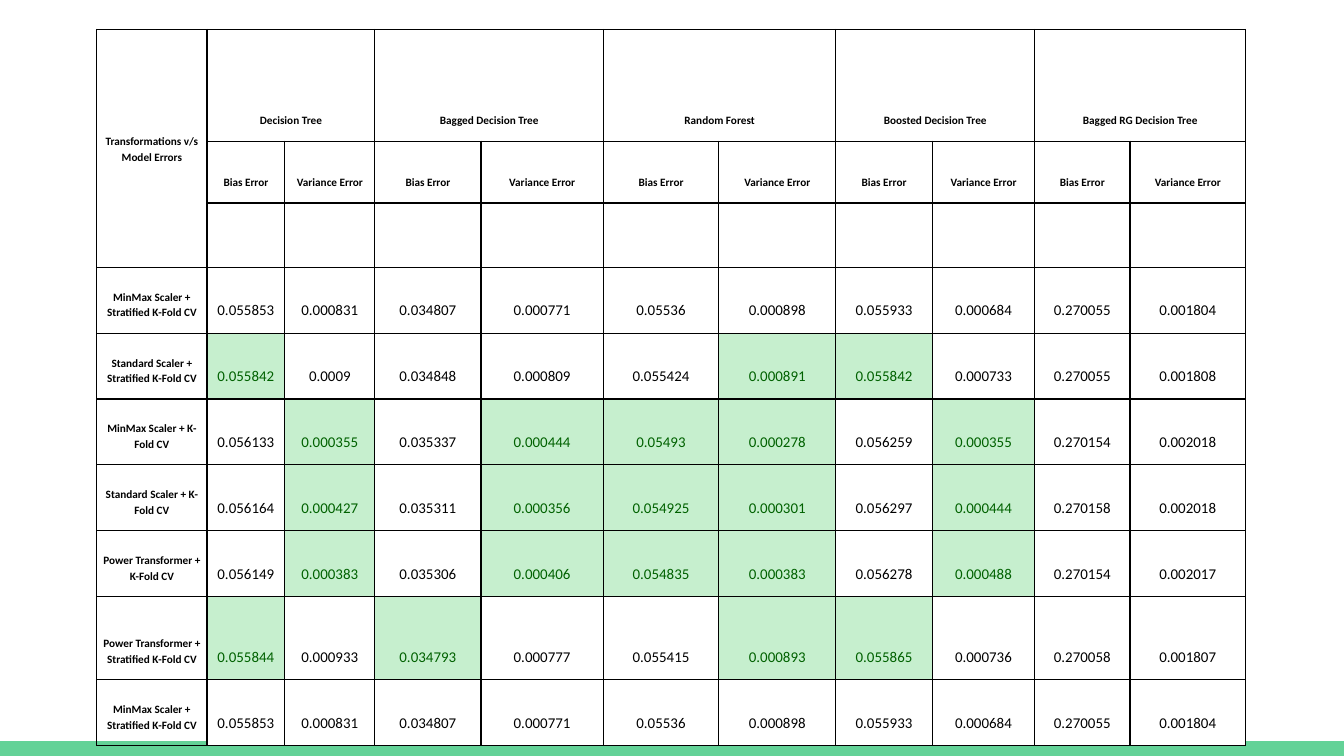
from dataclasses import dataclass
from typing import Any

from lxml.etree import SubElement
from pptx import Presentation
from pptx.dml.color import RGBColor
from pptx.enum.shapes import MSO_SHAPE
from pptx.enum.text import MSO_ANCHOR, PP_ALIGN
from pptx.oxml.ns import qn
from pptx.util import Inches, Pt

UNIT = Inches(0.01)
SLIDE_WIDTH = Inches(10)
SLIDE_HEIGHT = SLIDE_WIDTH * 9 // 16
BAR_HEIGHT = 11 * UNIT
TABLE_LEFT, TABLE_TOP = 72, 22
COLUMN_WIDTHS = (82, 58, 67, 79, 91, 86, 87, 72, 76, 71, 86)
ROW_HEIGHTS = (83, 46, 48, 49, 49, 49, 49, 49, 62, 49)
HEADER_ROWS = 3

COLORS = {
    "bar": "63D297",
    "black": "000000",
    "white": "FFFFFF",
    "highlight": "C6EFCE",
    "highlight_text": "006100",
}
BOLD_FONT = {"name": "Calibri", "size": Pt(6), "bold": True}
VALUE_FONT = {"name": "Calibri", "size": Pt(8), "bold": False}
CELL_FORMAT = {
    "margin_left": Inches(0.03),
    "margin_right": Inches(0.03),
    "margin_top": Inches(0.1),
    "margin_bottom": Inches(0.1),
    "vertical_anchor": MSO_ANCHOR.BOTTOM,
}
PARAGRAPH_FORMAT = {"alignment": PP_ALIGN.CENTER, "line_spacing": 1.15}

MODELS = (
    "Decision Tree",
    "Bagged Decision Tree",
    "Random Forest",
    "Boosted Decision Tree",
    "Bagged RG Decision Tree",
)
ERRORS = ("Bias Error", "Variance Error")


@dataclass(frozen=True)
class Result:
    transformation: str
    values: str
    highlighted: tuple[int, ...] = ()


MINMAX_STRATIFIED = Result(
    "MinMax Scaler + Stratified K-Fold CV",
    "0.055853 0.000831 0.034807 0.000771 0.05536 0.000898 0.055933 0.000684 0.270055 0.001804",
)
RESULTS = (
    MINMAX_STRATIFIED,
    Result(
        "Standard Scaler + Stratified K-Fold CV",
        "0.055842 0.0009 0.034848 0.000809 0.055424 0.000891 0.055842 0.000733 0.270055 0.001808",
        (1, 6, 7),
    ),
    Result(
        "MinMax Scaler + K-Fold CV",
        "0.056133 0.000355 0.035337 0.000444 0.05493 0.000278 0.056259 0.000355 0.270154 0.002018",
        (2, 4, 5, 6, 8),
    ),
    Result(
        "Standard Scaler + K-Fold CV",
        "0.056164 0.000427 0.035311 0.000356 0.054925 0.000301 0.056297 0.000444 0.270158 0.002018",
        (2, 4, 5, 6, 8),
    ),
    Result(
        "Power Transformer + K-Fold CV",
        "0.056149 0.000383 0.035306 0.000406 0.054835 0.000383 0.056278 0.000488 0.270154 0.002017",
        (2, 4, 5, 6, 8),
    ),
    Result(
        "Power Transformer + Stratified K-Fold CV",
        "0.055844 0.000933 0.034793 0.000777 0.055415 0.000893 0.055865 0.000736 0.270058 0.001807",
        (1, 3, 6, 7),
    ),
    MINMAX_STRATIFIED,
)


def apply_format(target: Any, values: dict[str, Any]) -> None:
    for name, value in values.items():
        setattr(target, name, value)


def fill_solid(target: Any, color: str) -> None:
    target.fill.solid()
    target.fill.fore_color.rgb = RGBColor.from_string(COLORS[color])


def add_borders(cell: Any) -> None:
    properties = cell._tc.get_or_add_tcPr()
    for side in ("a:lnL", "a:lnR", "a:lnT", "a:lnB"):
        line = SubElement(properties, qn(side), w=str(Pt(0.75)))
        solid = SubElement(line, qn("a:solidFill"))
        SubElement(solid, qn("a:srgbClr"), val=COLORS["black"])


def write_cell(cell: Any, text: str, font: dict[str, Any], color: str = "black") -> None:
    apply_format(cell, CELL_FORMAT)
    cell.text = text
    for paragraph in cell.text_frame.paragraphs:
        apply_format(paragraph, PARAGRAPH_FORMAT)
        for run in paragraph.runs:
            apply_format(run.font, font)
            run.font.color.rgb = RGBColor.from_string(COLORS[color])


def write_headers(table: Any) -> None:
    corner = table.cell(0, 0)
    corner.merge(table.cell(HEADER_ROWS - 1, 0))
    write_cell(corner, "Transformations v/s\nModel Errors", BOLD_FONT)
    corner.vertical_anchor = MSO_ANCHOR.MIDDLE
    for index, model in enumerate(MODELS):
        first = 1 + index * len(ERRORS)
        heading = table.cell(0, first)
        heading.merge(table.cell(0, first + len(ERRORS) - 1))
        write_cell(heading, model, BOLD_FONT)
        for offset, error in enumerate(ERRORS):
            write_cell(table.cell(1, first + offset), error, BOLD_FONT)


def write_result(table: Any, row: int, result: Result) -> None:
    write_cell(table.cell(row, 0), result.transformation, BOLD_FONT)
    for column, value in enumerate(result.values.split(), start=1):
        marked = column in result.highlighted
        cell = table.cell(row, column)
        write_cell(cell, value, VALUE_FONT, "highlight_text" if marked else "black")
        fill_solid(cell, "highlight" if marked else "white")


def add_error_table(slide: Any) -> None:
    table = slide.shapes.add_table(
        len(ROW_HEIGHTS), len(COLUMN_WIDTHS),
        TABLE_LEFT * UNIT, TABLE_TOP * UNIT,
        sum(COLUMN_WIDTHS) * UNIT, sum(ROW_HEIGHTS) * UNIT,
    ).table
    apply_format(table, {"first_row": False, "horz_banding": False})
    for column, width in zip(table.columns, COLUMN_WIDTHS):
        column.width = width * UNIT
    for row, height in zip(table.rows, ROW_HEIGHTS):
        row.height = height * UNIT
    for cell in table.iter_cells():
        add_borders(cell)
        cell.fill.background()
    write_headers(table)
    for row, result in enumerate(RESULTS, start=HEADER_ROWS):
        write_result(table, row, result)


def add_bottom_bar(slide: Any) -> None:
    bar = slide.shapes.add_shape(
        MSO_SHAPE.RECTANGLE, 0, SLIDE_HEIGHT - BAR_HEIGHT, SLIDE_WIDTH, BAR_HEIGHT
    )
    bar.shadow.inherit = False
    fill_solid(bar, "bar")
    bar.line.fill.background()


def main() -> None:
    presentation = Presentation()
    presentation.slide_width = SLIDE_WIDTH
    presentation.slide_height = SLIDE_HEIGHT
    slide = presentation.slides.add_slide(presentation.slide_layouts[6])
    fill_solid(slide.background, "white")
    add_bottom_bar(slide)
    add_error_table(slide)
    presentation.save("out.pptx")


if __name__ == "__main__":
    main()
